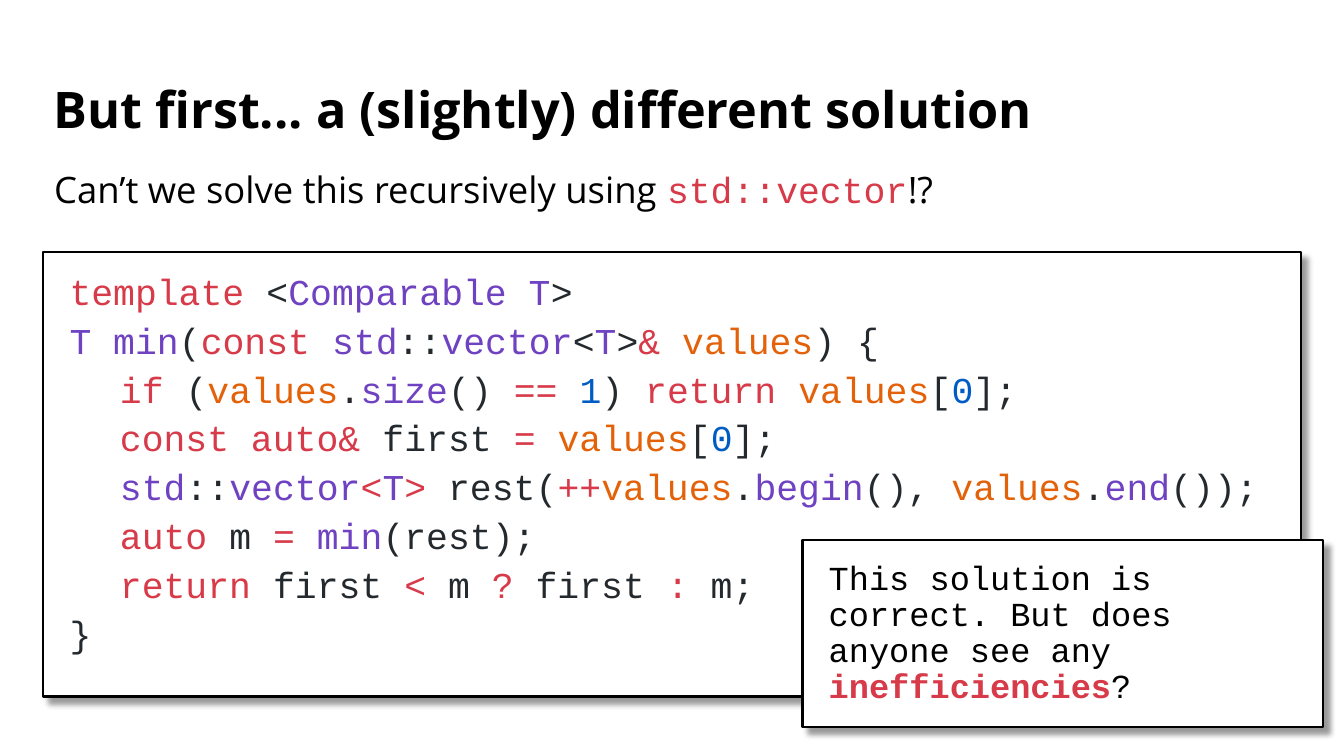
from lxml import etree
from pptx import Presentation
from pptx.dml.color import RGBColor
from pptx.enum import shapes, text
from pptx.oxml import ns
from pptx.util import Inches, Pt

COLORS = {
    "black": "000000", "white": "FFFFFF", "plain": "24292E", "keyword": "D73A49",
    "type": "6F42C1", "variable": "E36209", "number": "005CC5", "accent": "D73A48",
}
SANS, MONO = "Open Sans", "Courier New"
LEFT, WIDTH = 0.43, 12.47


def add_card(left, top, width, height, anchor):
    card = slide.shapes.add_shape(
        shapes.MSO_SHAPE.RECTANGLE, Inches(left), Inches(top), Inches(width), Inches(height))
    card.fill.solid()
    card.fill.fore_color.rgb = RGBColor.from_string(COLORS["white"])
    card.line.color.rgb = RGBColor.from_string(COLORS["black"])
    card.line.width = Pt(1.5)
    card.shadow.inherit = False
    effects = card.fill._xPr.find(ns.qn("a:effectLst"))
    shadow = etree.SubElement(effects, ns.qn("a:outerShdw"), blurRad=str(Pt(4)),
                              dist=str(Pt(6)), dir="2700000", algn="tl", rotWithShape="0")
    tint = etree.SubElement(shadow, ns.qn("a:srgbClr"), val=COLORS["black"])
    etree.SubElement(tint, ns.qn("a:alpha"), val="40000")
    frame = card.text_frame
    frame.word_wrap = True
    frame.vertical_anchor = anchor
    frame.margin_left = frame.margin_right = frame.margin_top = frame.margin_bottom = Inches(0.25)
    return frame


def write_runs(paragraph, runs, size, spacing):
    properties = paragraph._p.get_or_add_pPr()
    properties.set("marL", str(Inches(0.01)))
    properties.set("indent", "0")
    tabs = etree.SubElement(properties, ns.qn("a:tabLst"))
    etree.SubElement(tabs, ns.qn("a:tab"), pos=str(Inches(0.5)), algn="l")
    paragraph.alignment = text.PP_ALIGN.LEFT
    paragraph.line_spacing = spacing
    for words, color, font, bold in runs:
        run = paragraph.add_run()
        run.text = words
        run.font.name = font
        run.font.size = Pt(size)
        run.font.bold = bold
        run.font.color.rgb = RGBColor.from_string(COLORS[color])


deck = Presentation()
deck.slide_width, deck.slide_height = Inches(13.33), Inches(7.5)
slide = deck.slides.add_slide(deck.slide_layouts[5])

title = slide.shapes.title
title.left, title.top = Inches(LEFT), Inches(0.69)
title.width, title.height = Inches(WIDTH), Inches(0.84)
title.text_frame.vertical_anchor = text.MSO_ANCHOR.MIDDLE
title.text_frame.auto_size = text.MSO_AUTO_SIZE.NONE
heading = title.text_frame.paragraphs[0]
heading.text = "But first... a (slightly) different solution"
heading.alignment = text.PP_ALIGN.LEFT
heading.line_spacing = 0.9
heading_font = heading.runs[0].font
heading_font.name, heading_font.size, heading_font.bold = SANS, Pt(36), True
heading_font.color.rgb = RGBColor.from_string(COLORS["black"])

code_lines = [
    [("template", "keyword"), (" <", "plain"), ("Comparable T", "type"), (">", "plain")],
    [("T min", "type"), ("(", "plain"), ("const ", "keyword"), ("std", "type"),
     ("::", "plain"), ("vector", "type"), ("<", "plain"), ("T", "type"), (">", "plain"),
     ("& ", "keyword"), ("values", "variable"), (") {", "plain")],
    [("\tif", "keyword"), (" (", "plain"), ("values", "variable"), (".", "plain"),
     ("size", "type"), ("() ", "plain"), ("== ", "keyword"), ("1", "number"),
     (") ", "plain"), ("return ", "keyword"), ("values", "variable"), ("[", "plain"),
     ("0", "number"), ("];", "plain")],
    [("\tconst auto&", "keyword"), (" first ", "plain"), ("= ", "keyword"),
     ("values", "variable"), ("[", "plain"), ("0", "number"), ("];", "plain")],
    [("\tstd", "type"), ("::", "plain"), ("vector", "type"), ("<", "keyword"),
     ("T", "type"), (">", "keyword"), (" rest(", "plain"), ("++", "keyword"),
     ("values", "variable"), (".", "plain"), ("begin", "type"), ("(), ", "plain"),
     ("values", "variable"), (".", "plain"), ("end", "type"), ("());", "plain")],
    [("\tauto", "keyword"), (" m ", "plain"), ("= ", "keyword"), ("min", "type"),
     ("(rest);", "plain")],
    [("\treturn", "keyword"), (" first ", "plain"), ("<", "keyword"), (" m ", "plain"),
     ("?", "keyword"), (" first ", "plain"), (":", "keyword"), (" m;", "plain")],
    [("}", "plain")],
]
code = add_card(LEFT, 2.5, WIDTH, 4.41, text.MSO_ANCHOR.TOP)
for number, tokens in enumerate(code_lines):
    line = code.add_paragraph() if number else code.paragraphs[0]
    write_runs(line, [(words, color, MONO, False) for words, color in tokens], 26, 0.8)
    if number:
        line.space_before = Pt(10)

question = slide.shapes.add_textbox(
    Inches(LEFT), Inches(1.69), Inches(WIDTH), Inches(0.47)).text_frame
question.word_wrap = True
write_runs(question.paragraphs[0], [
    ("Can’t we solve this recursively using ", "black", SANS, False),
    ("std::vector", "accent", MONO, False),
    ("!?", "black", SANS, False),
], 26, 0.8)

remark = add_card(7.96, 5.36, 5.16, 1.85, text.MSO_ANCHOR.MIDDLE)
write_runs(remark.paragraphs[0], [
    ("This solution is correct. But does anyone see any ", "black", MONO, False),
    ("inefficiencies", "accent", MONO, True),
    ("?", "black", MONO, False),
], 24, 0.9)

deck.save("out.pptx")
